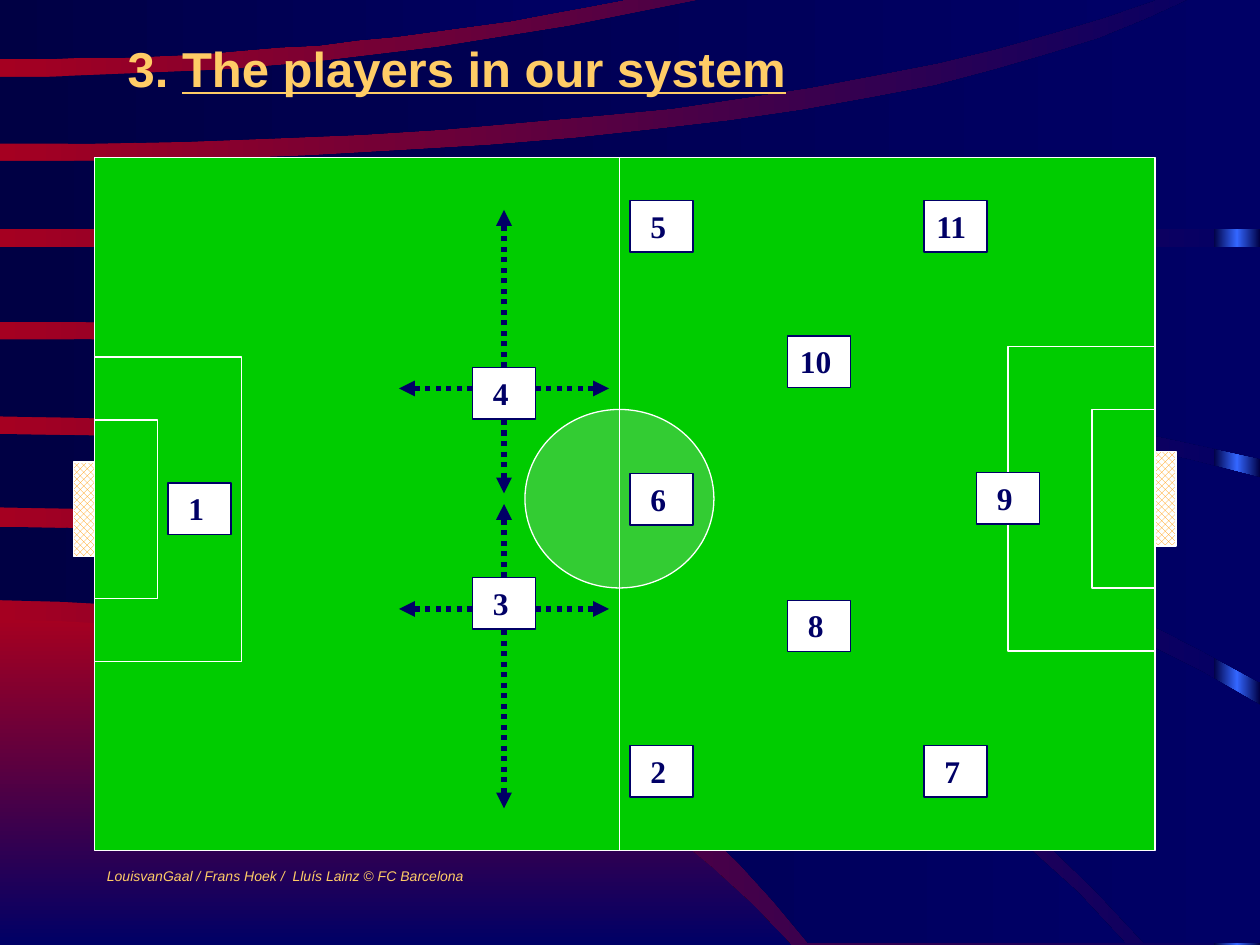
from lxml import etree
from pptx import Presentation
from pptx.dml.color import RGBColor
from pptx.enum.dml import MSO_LINE, MSO_PATTERN
from pptx.enum.shapes import MSO_CONNECTOR, MSO_SHAPE
from pptx.enum.text import MSO_ANCHOR, MSO_AUTO_SIZE, PP_ALIGN
from pptx.oxml.ns import qn
from pptx.util import Pt

RECT, OVAL = MSO_SHAPE.RECTANGLE, MSO_SHAPE.OVAL
STRAIGHT = MSO_CONNECTOR.STRAIGHT
DOTTED = MSO_LINE.ROUND_DOT
DIAMONDS = MSO_PATTERN.OUTLINED_DIAMOND
CENTER, LEFT = PP_ALIGN.CENTER, PP_ALIGN.LEFT
MIDDLE, TOP = MSO_ANCHOR.MIDDLE, MSO_ANCHOR.TOP

COLORS = {
    "red": "A50021", "navy": "000066", "night": "000044", "blue": "3366FF",
    "grass": "00CC00", "circle": "33CC33", "white": "FFFFFF",
    "orange": "FF9900", "gold": "FFCC66",
}

# Upper and lower edge of a field: start y, bend x, end x, end y.
CORNER = (354, 280, 452, 540), (540, 226, 452, 540)
FIELDS = [
    ((301, 430, 643, 539), (343, 311, 462, 539)),
    ((248, 466, 720, 403), (290, 440, 654, 539)),
    ((194, 410, 720, 273), (238, 460, 720, 390)),
    ((141, 360, 720, 141), (184, 390, 720, 262)),
    ((92, 495, 679, 0), (131, 360, 720, 131)),
    ((44, 200, 400, 0), (82, 438, 660, 0)),
    ((0, 178, 356, 0), (34, 186, 356, 0)),
]

# Places are measured from the top left corner of the pitch.
PLAYERS = {8: (396, 253), 9: (504, 180), 6: (306, 180.5), 10: (396, 102),
           4: (216, 120), 3: (216, 240), 1: (42, 186), 7: (474, 336),
           2: (306, 336), 5: (306, 24.5), 11: (474, 24.5)}

# Row of the sideways arrows, then start and end of the upward and downward ones.
RUNS = [(132, (120, 30), (150, 192)), (258, (240, 198), (270, 372))]


def rgb(name):
    return RGBColor.from_string(COLORS[name])


def grade(fill, start, end, angle=0):
    fill.gradient()
    fill.gradient_angle = angle
    for stop, name in zip(fill.gradient_stops, (start, end)):
        stop.color.rgb = rgb(name)


def add_box(slide, x, y, w, h, fill=None, line=None, kind=RECT):
    sp = slide.shapes.add_shape(kind, Pt(x), Pt(y), Pt(w), Pt(h))
    sp.shadow.inherit = False
    if fill:
        sp.fill.solid()
        sp.fill.fore_color.rgb = rgb(fill)
    if line:
        sp.line.color.rgb = rgb(line)
        sp.line.width = Pt(0.75)
    else:
        sp.line.fill.background()
    return sp


def add_line(slide, x1, y1, x2, y2, color, width=0.75, arrow=False):
    """Draw a straight line; an arrow is dotted and has its head at the end."""
    cx = slide.shapes.add_connector(STRAIGHT, Pt(x1), Pt(y1), Pt(x2), Pt(y2))
    cx.line.color.rgb = rgb(color)
    cx.line.width = Pt(width)
    spPr = cx._element.spPr
    if arrow:
        cx.line.dash_style = DOTTED
        etree.SubElement(spPr.find(qn("a:ln")), qn("a:tailEnd"), type="triangle")
    etree.SubElement(spPr, qn("a:effectLst"))


def write(sp, text, size, color, font="Arial", bold=False, italic=False,
          align=LEFT, anchor=TOP, inset=7.2, underlined="", wrap=True):
    tf = sp.text_frame
    tf.word_wrap = wrap
    tf.auto_size = MSO_AUTO_SIZE.NONE
    tf.vertical_anchor = anchor
    tf.margin_left = Pt(inset)
    p = tf.paragraphs[0]
    p.alignment = align
    for part in filter(None, (text, underlined)):
        r = p.add_run()
        r.text = part
        r.font.name, r.font.size = font, Pt(size)
        r.font.bold, r.font.italic = bold, italic
        r.font.underline = part == underlined
        r.font.color.rgb = rgb(color)


def curve(start_y, bend_x, end_x, end_y, steps=16):
    """Points of a quadratic curve that leaves the left side of the slide level."""
    points = []
    for i in range(steps + 1):
        t = i / steps
        points.append((2 * t * (1 - t) * bend_x + t * t * end_x,
                       start_y + t * t * (end_y - start_y)))
    return points


def add_field(slide, edges, start, end, angle=0):
    upper, lower = (curve(*edge) for edge in edges)
    ends = upper[-1], lower[-1]
    corner = max(ends)[0], min(ends)[1]
    points = [*upper, corner, *reversed(lower)]
    builder = slide.shapes.build_freeform(*points[0], scale=Pt(1))
    builder.add_line_segments(points[1:])
    sp = builder.convert_to_shape()
    sp.shadow.inherit = False
    sp.line.fill.background()
    grade(sp.fill, start, end, angle)


def add_backdrop(slide, w, h):
    grade(slide.background.fill, "red", "navy")
    strip = add_box(slide, w - 26.5, 0, 26.5, h)
    grade(strip.fill, "night", "blue")
    strip.fill.gradient_stops[1].position = 0.5
    stops = strip._element.spPr.find(".//" + qn("a:gsLst"))
    last = etree.SubElement(stops, qn("a:gs"), pos="100000")
    etree.SubElement(last, qn("a:srgbClr"), val=COLORS["night"])
    add_field(slide, CORNER, "red", "navy", 270)
    for edges in FIELDS:
        add_field(slide, edges, "night", "navy")


def add_pitch(slide, x, y, w, h):
    add_box(slide, x, y, w, h, "grass", "white")
    ends = [(x, 0, y + 201), (x + w, 1, y + 195)]
    for depth, height in ((84, 174), (36, 102)):
        for edge, right, mid in ends:
            add_box(slide, edge - right * depth, mid - height / 2,
                    depth, height, "grass", "white")
    add_box(slide, x + 246, y + 144, 108, 102, "circle", "white", OVAL)
    add_line(slide, x + 300, y, x + 300, y + h, "white")
    for edge, right, mid in ends:
        goal = add_box(slide, edge - (1 - right) * 12, mid - 27, 12, 54, line="white")
        goal.fill.patterned()
        goal.fill.pattern = DIAMONDS
        goal.fill.fore_color.rgb = rgb("orange")
        goal.fill.back_color.rgb = rgb("white")


def add_players(slide, x, y):
    for number, (dx, dy) in PLAYERS.items():
        sp = add_box(slide, x + dx, y + dy, 36, 29.5, "white", "navy")
        write(sp, str(number), 18, "navy", "Times New Roman", bold=True,
              inset=7.2 if number > 9 else 11.7)


def add_runs(slide, x, y):
    for row, *verticals in RUNS:
        paths = [(252, row, 294, row), (216, row, 174, row)]
        paths += [(234, start, 234, end) for start, end in verticals]
        for x1, y1, x2, y2 in paths:
            add_line(slide, x + x1, y + y1, x + x2, y + y2, "navy", 3, arrow=True)


def add_credit(slide, x, y, w, h):
    sp = slide.shapes.add_textbox(Pt(x), Pt(y), Pt(w), Pt(h))
    write(sp, "LouisvanGaal / Frans Hoek /  Lluís Lainz © FC Barcelona",
          8, "gold", italic=True, wrap=False)


def set_title(slide, x, y, w, h):
    title = slide.shapes.title
    title.left, title.top, title.width, title.height = map(Pt, (x, y, w, h))
    write(title, "3. ", 28, "gold", bold=True, align=CENTER, anchor=MIDDLE,
          underlined="The players in our system")
    title._element.getparent().append(title._element)  # in front of the backdrop


def main():
    prs = Presentation()
    prs.slide_width, prs.slide_height = Pt(720), Pt(540)
    slide = prs.slides.add_slide(prs.slide_layouts[5])
    add_backdrop(slide, 720, 540)
    add_pitch(slide, 54, 90, 606, 396)
    add_players(slide, 54, 90)
    add_credit(slide, 54, 492, 219, 16.5)
    add_runs(slide, 54, 90)
    set_title(slide, 18, 18, 486, 42)
    prs.save("out.pptx")


if __name__ == "__main__":
    main()
